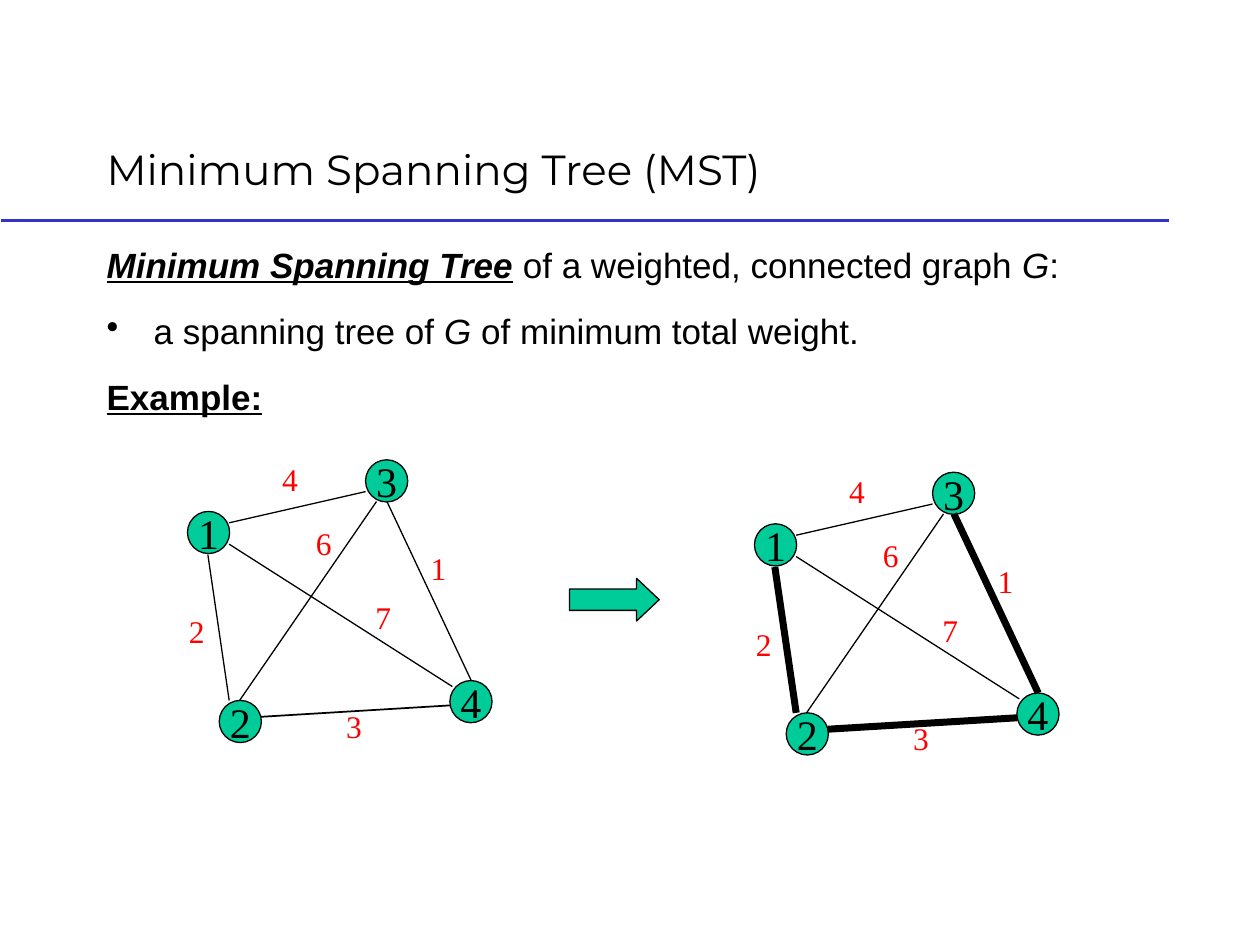
"""Build a slide that defines the minimum spanning tree and shows an example."""
from dataclasses import dataclass

from lxml import etree
from pptx import Presentation
from pptx import util as u
from pptx.dml.color import RGBColor
from pptx.enum import shapes, text
from pptx.oxml import ns


@dataclass(frozen=True)
class Theme:
    ink: RGBColor = RGBColor(0, 0, 0)
    rule: RGBColor = RGBColor(0x33, 0x33, 0xCC)
    node: RGBColor = RGBColor(0, 0xCC, 0x99)
    weight: RGBColor = RGBColor(0xFF, 0, 0)
    title_font: str = "Montserrat"
    body_font: str = "Arial"
    graph_font: str = "Times New Roman"
    title_size: int = 24
    body_size: int = 20
    node_size: int = 24
    weight_size: int = 18
    thin: float = 0.75
    medium: float = 1
    rule_width: float = 1.5
    thick: float = 4


theme = Theme()


def add_span(para, words, font, size, color, style=""):
    span = para.add_run()
    span.text = words
    span.font.name = font
    span.font.size = u.Pt(size)
    span.font.color.rgb = color
    span.font.bold = "b" in style
    span.font.italic = "i" in style
    span.font.underline = "u" in style


def add_line(parent, start, end, color, width):
    points = [u.Cm(value) for value in (*start, *end)]
    line = parent.add_connector(shapes.MSO_CONNECTOR.STRAIGHT, *points)
    line.line.color.rgb = color
    line.line.width = u.Pt(width)
    etree.SubElement(line._element.spPr, ns.qn("a:effectLst"))


deck = Presentation()
deck.slide_width, deck.slide_height = u.Cm(25.4), u.Cm(19.05)
page = deck.slides.add_slide(deck.slide_layouts[6])

add_line(page.shapes, (0.03, 4.44), (23.57, 4.44), theme.rule, theme.rule_width)

title = page.shapes.add_textbox(u.Cm(1.9), u.Cm(1.7), u.Cm(21.6), u.Cm(2.34)).text_frame
title.word_wrap = True
title.vertical_anchor = text.MSO_ANCHOR.BOTTOM
add_span(title.paragraphs[0], "Minimum Spanning Tree (MST)",
         theme.title_font, theme.title_size, theme.ink)

body = page.shapes.add_textbox(u.Cm(1.9), u.Cm(4.88), u.Cm(21.6), u.Cm(12.7)).text_frame
body.word_wrap = True
statements = [
    (False, [("Minimum Spanning Tree", "biu"), (" ", "b"),
             ("of a weighted, connected graph ", ""), ("G", "i"), (": ", "")]),
    (True, [("a spanning tree of ", ""), ("G", "i"), (" of minimum total weight.", "")]),
    (False, [("Example:", "bu")]),
]
for index, (bulleted, spans) in enumerate(statements):
    para = body.add_paragraph() if index else body.paragraphs[0]
    para.line_spacing = 0.9
    para.space_before = u.Pt(16 if index else 0)
    if bulleted:
        properties = para._p.get_or_add_pPr()
        properties.set("marL", str(u.Cm(0.95)))
        properties.set("indent", str(u.Cm(-0.95)))
        etree.SubElement(properties, ns.qn("a:buChar"), char="•")
    for words, style in spans:
        add_span(para, words, theme.body_font, theme.body_size, theme.ink, style)

node_width = 0.85
nodes = {"3": (7.37, 9.27), "4": (9.07, 13.72), "2": (4.42, 14.12), "1": (3.78, 10.31)}
edges = [
    ("4", (5.44, 9.14), (4.62, 10.54), (7.37, 9.91), theme.thin, theme.thin),
    ("2", (3.56, 12.22), (4.62, 14.12), (4.19, 11.18), theme.thin, theme.thick),
    ("6", (6.12, 10.44), (4.83, 14.12), (7.59, 10.11), theme.thin, theme.thin),
    ("1", (8.43, 10.95), (9.5, 13.72), (7.8, 10.11), theme.thin, theme.thick),
    ("3", (6.73, 14.12), (5.26, 14.45), (9.07, 14.22), theme.medium, theme.thick),
    ("7", (7.32, 11.94), (9.12, 13.84), (4.62, 10.97), theme.thin, theme.thin),
]
for graph_index, (dx, dy) in enumerate([(0, 0), (11.43, 0.25)]):
    graph = page.shapes.add_group_shape().shapes
    for name, (x, y) in nodes.items():
        node = graph.add_shape(shapes.MSO_SHAPE.OVAL, u.Cm(x + dx), u.Cm(y + dy),
                               u.Cm(node_width), u.Cm(node_width))
        node.shadow.inherit = False
        node.fill.solid()
        node.fill.fore_color.rgb = theme.node
        node.line.color.rgb = theme.ink
        node.line.width = u.Pt(theme.thin)
        frame = node.text_frame
        frame.word_wrap = False
        frame.vertical_anchor = text.MSO_ANCHOR.MIDDLE
        para = frame.paragraphs[0]
        para.alignment = text.PP_ALIGN.CENTER
        add_span(para, name, theme.graph_font, theme.node_size, theme.ink)
    for weight, (x, y), start, end, *widths in edges:
        add_line(graph, (start[0] + dx, start[1] + dy), (end[0] + dx, end[1] + dy),
                 theme.ink, widths[graph_index])
        label = graph.add_textbox(u.Cm(x + dx), u.Cm(y + dy), u.Cm(0.84), u.Cm(1.02)).text_frame
        label.word_wrap = False
        label.auto_size = text.MSO_AUTO_SIZE.SHAPE_TO_FIT_TEXT
        add_span(label.paragraphs[0], weight, theme.graph_font, theme.weight_size, theme.weight)

arrow = page.shapes.add_shape(shapes.MSO_SHAPE.RIGHT_ARROW,
                              u.Cm(11.48), u.Cm(11.66), u.Cm(1.81), u.Cm(0.86))
arrow.shadow.inherit = False
arrow.adjustments[0] = 0.5
arrow.adjustments[1] = 0.53
arrow.fill.solid()
arrow.fill.fore_color.rgb = theme.node
arrow.line.color.rgb = theme.ink
arrow.line.width = u.Pt(theme.thin)

deck.save("out.pptx")
